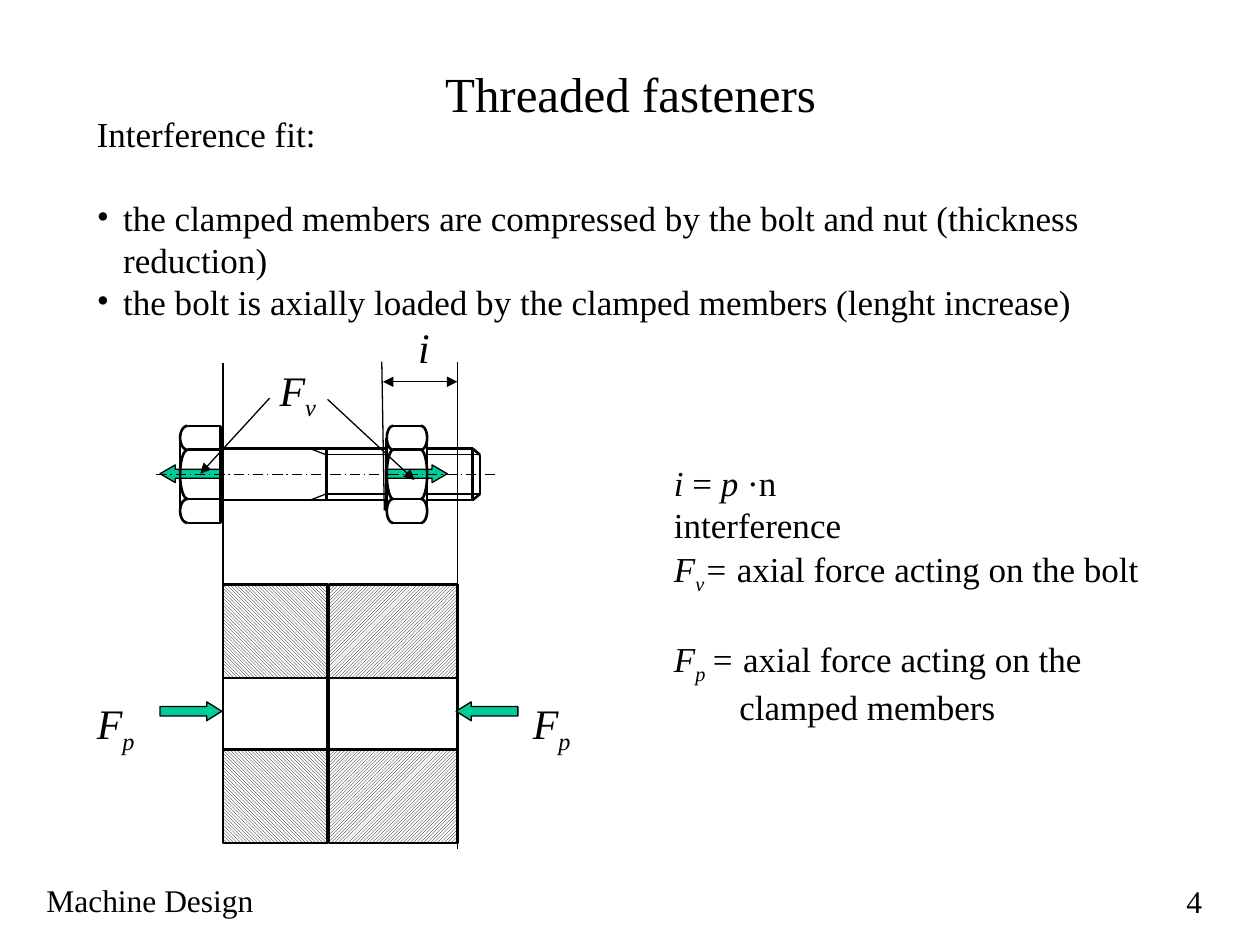
import math

from lxml import etree
from pptx import Presentation
from pptx import util as u
from pptx.dml.color import RGBColor
from pptx.enum import dml, shapes, text
from pptx.oxml.ns import qn

FONT, BLACK, WHITE, GREEN = "Times New Roman", "000000", "FFFFFF", "00CC99"
THIN, THICK = 0.75, 1.5
AXIS = 3.765                                  # height of the bolt's centre line
HEX_ROWS = [3.38, 3.57, 3.96, 4.15]           # edges of the hexagon faces
HEAD_LEFT, HEAD_ARC, HEAD_RIGHT = 1.43, 1.49, 1.75
NUT_LEFT, NUT_ARC_LEFT, NUT_ARC_RIGHT, NUT_RIGHT = 3.07, 3.12, 3.34, 3.39
PLATE_LEFT, PLATE_JOINT, PLATE_RIGHT = 1.77, 2.6, 3.63
PLATE_ROWS, PLATE_HEIGHT = [4.64, 5.95], 0.74
ITALIC, SUB, PLAIN = (True, 0), (True, -25), (False, 0)


def color(value):
    return RGBColor.from_string(value)


def mirror(y):
    return 2 * AXIS - y


def add_runs(paragraph, runs, size):
    """Each run is (words, (italic, baseline percent)); a bare string is upright."""
    for item in runs:
        words, (italic, baseline) = (item, PLAIN) if isinstance(item, str) else item
        if words == "\n":
            paragraph.add_line_break()
            continue
        run = paragraph.add_run()
        run.text = words
        font = run.font
        font.name, font.size, font.italic = FONT, u.Pt(size), italic
        font.color.rgb = color(BLACK)
        if baseline:
            font._element.set("baseline", str(baseline * 1000))


def set_indent(paragraph, indent, bullet=False):
    properties = paragraph._p.get_or_add_pPr()
    properties.set("marL", str(u.Inches(indent)))
    properties.set("indent", str(-u.Inches(indent)))
    if bullet:
        etree.SubElement(properties, qn("a:buFont")).set("typeface", FONT)
        etree.SubElement(properties, qn("a:buChar")).set("char", "•")


def add_text(slide, box, runs, size, wrap=True, indent=0, align=text.PP_ALIGN.LEFT):
    shape = slide.shapes.add_textbox(*map(u.Inches, box))
    shape.text_frame.word_wrap = wrap
    paragraph = shape.text_frame.paragraphs[0]
    paragraph.alignment = align
    if indent:
        set_indent(paragraph, indent)
    add_runs(paragraph, runs, size)
    return shape.text_frame


def add_line(slide, x1, y1, x2, y2, width=THICK, ends=(), dash=None):
    """ends names the ends that carry an arrowhead: headEnd, tailEnd."""
    line = slide.shapes.add_connector(
        shapes.MSO_CONNECTOR.STRAIGHT, *map(u.Inches, (x1, y1, x2, y2)))
    line.line.color.rgb = color(BLACK)
    line.line.width = u.Pt(width)
    if dash:
        line.line.dash_style = dash
    for end in ends:
        etree.SubElement(line.line._get_or_add_ln(), qn("a:" + end)).set("type", "triangle")
    etree.SubElement(line._element.spPr, qn("a:effectLst"))


def add_mirrored_line(slide, x1, y1, x2, y2, width=THICK):
    add_line(slide, x1, y1, x2, y2, width)
    add_line(slide, x1, mirror(y1), x2, mirror(y2), width)


def outline(shape, width):
    shape.shadow.inherit = False
    shape.line.color.rgb = color(BLACK)
    shape.line.width = u.Pt(width)


def add_path(slide, points, width, close=False):
    points = [(u.Inches(x), u.Inches(y)) for x, y in points]
    builder = slide.shapes.build_freeform(*points[0])
    builder.add_line_segments(points[1:], close=close)
    shape = builder.convert_to_shape()
    shape.fill.background()
    outline(shape, width)


def add_hex_side(slide, edge, arc_x):
    """Three rounded faces that bulge from arc_x to edge, and the line along them."""
    for top, bottom in zip(HEX_ROWS, HEX_ROWS[1:]):
        middle, radius = (top + bottom) / 2, (bottom - top) / 2
        angles = [math.pi * step / 16 for step in range(17)]
        add_path(slide, [(arc_x + (edge - arc_x) * math.sin(angle),
                          middle - radius * math.cos(angle)) for angle in angles], THICK)
    add_line(slide, edge, 3.475, edge, mirror(3.475))


def add_hex_faces(slide, left, right):
    for y in HEX_ROWS:
        add_line(slide, left, y, right, y)


def add_force(slide, kind, left, top, height, head):
    arrow = slide.shapes.add_shape(kind, *map(u.Inches, (left, top, 0.49, height)))
    arrow.adjustments[1] = head
    arrow.fill.solid()
    arrow.fill.fore_color.rgb = color(GREEN)
    outline(arrow, THIN)


def add_plates(slide):
    halves = [(PLATE_LEFT, PLATE_JOINT, dml.MSO_PATTERN.LIGHT_DOWNWARD_DIAGONAL),
              (PLATE_JOINT + 0.01, PLATE_RIGHT, dml.MSO_PATTERN.LIGHT_UPWARD_DIAGONAL)]
    for top in PLATE_ROWS:
        for left, right, pattern in halves:
            plate = slide.shapes.add_shape(
                shapes.MSO_SHAPE.RECTANGLE,
                *map(u.Inches, (left, top, right - left, PLATE_HEIGHT)))
            plate.fill.patterned()
            plate.fill.pattern = pattern
            plate.fill.fore_color.rgb = color(BLACK)
            plate.fill.back_color.rgb = color(WHITE)
            outline(plate, THICK)
    for x, width in ((PLATE_LEFT, THICK), (PLATE_JOINT, 2.25), (PLATE_RIGHT, THICK)):
        add_line(slide, x, PLATE_ROWS[0] + PLATE_HEIGHT, x, PLATE_ROWS[1], width)


def add_dimensions(slide):
    for line in ((PLATE_LEFT, 2.88, PLATE_LEFT, 6.65), (PLATE_RIGHT, 2.87, PLATE_RIGHT, 6.74),
                 (3.05, 4.05, 3.03, 2.87)):
        add_line(slide, *line, THIN)
    add_line(slide, PLATE_RIGHT, 3.03, 3.04, 3.03, THIN, ("headEnd", "tailEnd"))


def add_forces(slide):
    left, right = shapes.MSO_SHAPE.LEFT_ARROW, shapes.MSO_SHAPE.RIGHT_ARROW
    for kind, x in ((left, 3.62), (right, 1.27)):
        add_force(slide, kind, x, 5.57, 0.15, 0.8)
    for kind, x in ((right, 3.06), (left, 1.27)):
        add_force(slide, kind, x, 3.69, 0.14, 0.86)
    add_line(slide, 2.14, 3.16, 1.59, 3.76, THIN, ("tailEnd",))
    add_line(slide, 2.6, 3.17, 3.29, 3.81, THIN, ("tailEnd",))


def add_bolt(slide):
    add_mirrored_line(slide, HEAD_RIGHT, 3.56, NUT_LEFT, 3.56)
    add_mirrored_line(slide, 2.59, 3.61, NUT_LEFT, 3.61, THIN)
    add_mirrored_line(slide, 2.59, 3.61, 2.46, 3.56, THIN)
    add_line(slide, 2.59, 3.56, 2.59, 3.97)
    add_line(slide, HEAD_RIGHT, HEX_ROWS[0], HEAD_RIGHT, HEX_ROWS[-1])
    add_hex_faces(slide, HEAD_ARC, HEAD_RIGHT)
    add_hex_side(slide, HEAD_LEFT, HEAD_ARC)
    add_line(slide, 1.24, AXIS, 3.95, AXIS, THIN, dash=dml.MSO_LINE.LONG_DASH_DOT)
    add_mirrored_line(slide, NUT_RIGHT, 3.56, 3.75, 3.56)
    add_mirrored_line(slide, NUT_RIGHT, 3.61, 3.81, 3.61, THIN)
    add_mirrored_line(slide, 3.75, 3.56, 3.81, 3.61)
    for x, top in ((3.75, 3.56), (3.81, 3.61)):
        add_line(slide, x, top, x, mirror(top))


def add_nut(slide):
    corner = [(0, 3.51), (0, 3.7), (0.02, 3.62), (0.04, 3.57), (0.02, 3.55)]
    for edge, arc_x, inward in ((NUT_LEFT, NUT_ARC_LEFT, 1), (NUT_RIGHT, NUT_ARC_RIGHT, -1)):
        points = [(edge + inward * x, y) for x, y in corner]
        add_path(slide, points, THIN, close=True)
        add_path(slide, [(x, mirror(y)) for x, y in points], THIN, close=True)
        add_hex_side(slide, edge, arc_x)
    add_hex_faces(slide, NUT_ARC_LEFT, NUT_ARC_RIGHT)


def add_title(slide, words):
    title = slide.shapes.title
    title.left, title.top, title.width, title.height = map(u.Inches, (3.43, 0.45, 3.15, 0.57))
    frame = title.text_frame
    frame.auto_size, frame.word_wrap = text.MSO_AUTO_SIZE.NONE, False
    frame.vertical_anchor = text.MSO_ANCHOR.TOP
    frame.paragraphs[0].alignment = text.PP_ALIGN.CENTER
    add_runs(frame.paragraphs[0], [words], 28)


def add_explanation(slide):
    frame = add_text(slide, (0.67, 0.84, 8.74, 1.77), ["Interference fit:"], 20, indent=0.21)
    points = ["the clamped members are compressed by the bolt and nut (thickness reduction)",
              "the bolt is axially loaded by the clamped members (lenght increase)"]
    for index, words in enumerate(points):
        paragraph = frame.add_paragraph()
        set_indent(paragraph, 0.21, bullet=True)
        paragraph.space_before = u.Pt(0 if index else 24)
        add_runs(paragraph, [words], 20)


def add_legend(slide):
    add_text(slide, (5.25, 3.61, 3.15, 0.77),
             [("i ", ITALIC), "= ", ("p", ITALIC), " ·n", "\n", "interference"], 20)
    add_text(slide, (5.25, 5.01, 3.89, 0.77),
             [("F", ITALIC), ("p ", SUB), ("= ", ITALIC),
              "axial force acting on the clamped members"], 20, indent=0.52)
    add_text(slide, (5.25, 4.3, 3.92, 0.43),
             [("F", ITALIC), ("v", SUB), ("= ", ITALIC),
              "axial force acting on the bolt"], 20, indent=0.42)


def main():
    presentation = Presentation()
    presentation.slide_width, presentation.slide_height = u.Inches(10), u.Inches(7.5)
    slide = presentation.slides.add_slide(presentation.slide_layouts[5])
    add_title(slide, "Threaded fasteners")
    add_text(slide, (0.27, 6.94, 3.17, 0.5), ["Machine Design"], 18)
    add_text(slide, (7.56, 6.95, 2.08, 0.5), ["4"], 18, align=text.PP_ALIGN.RIGHT)
    add_explanation(slide)
    add_legend(slide)
    add_plates(slide)
    add_dimensions(slide)
    add_forces(slide)
    for left, top, letter in ((0.67, 5.49, "p"), (2.12, 2.84, "v"), (4.13, 5.49, "p")):
        add_text(slide, (left, top, 0.52, 0.5), [("F", ITALIC), (letter, SUB)], 24, wrap=False)
    add_text(slide, (3.22, 2.5, 0.29, 0.5), [("i", ITALIC)], 24, wrap=False)
    add_bolt(slide)
    add_nut(slide)
    presentation.save("out.pptx")


if __name__ == "__main__":
    main()
